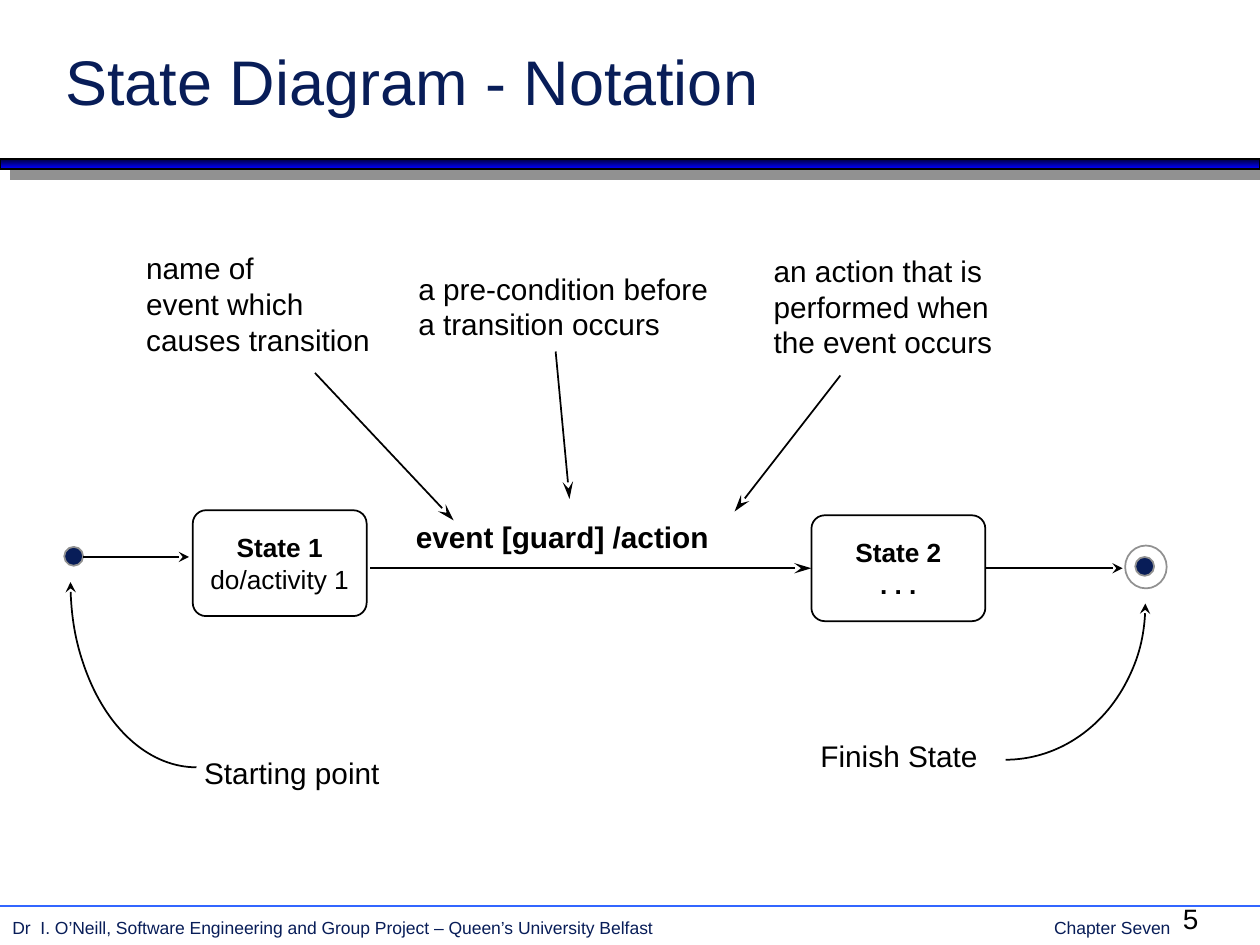
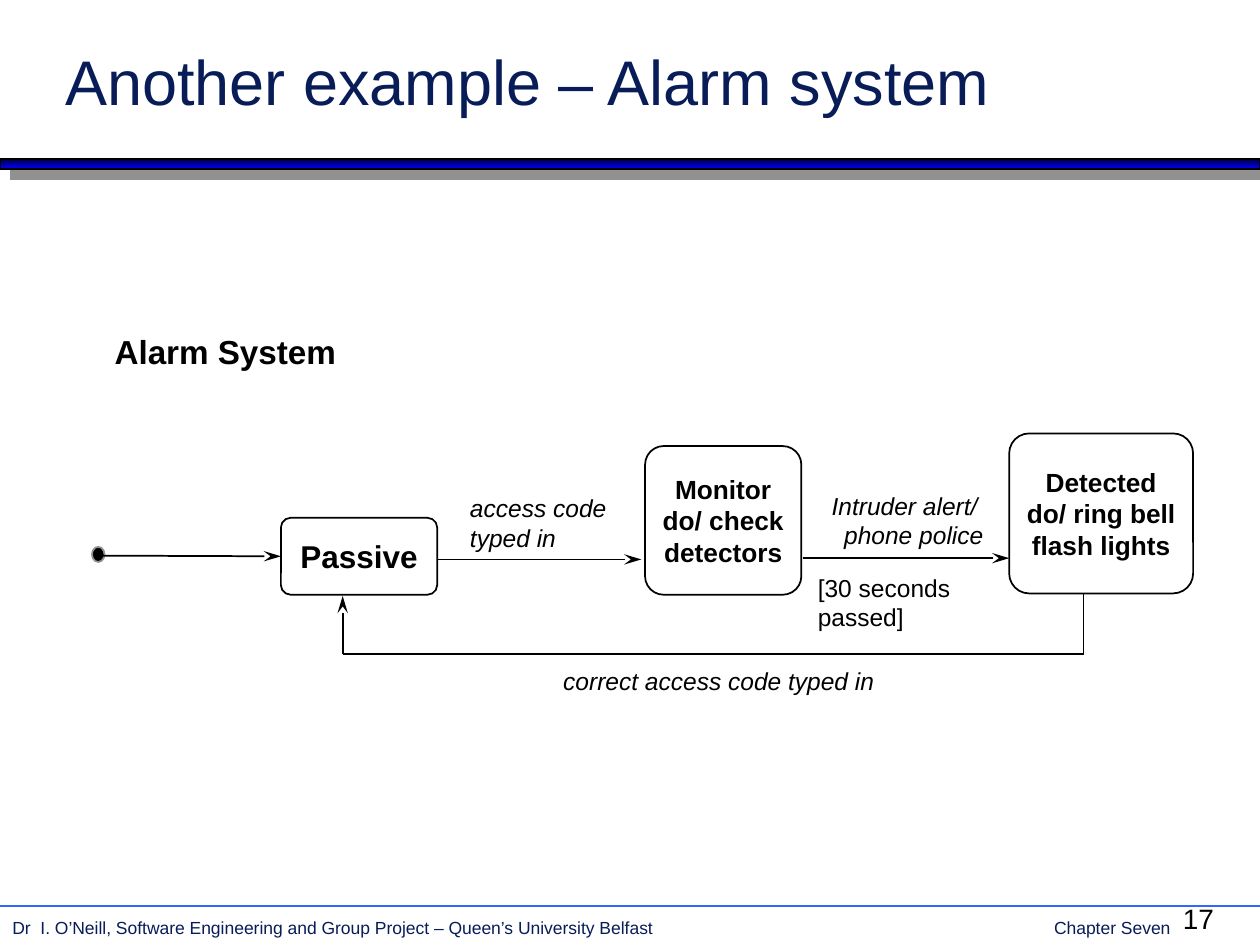
import lxml.etree
import pptx
import pptx.dml.color
import pptx.enum.shapes
import pptx.enum.text
import pptx.oxml.ns
import pptx.util

Inches = pptx.util.Inches
Pt = pptx.util.Pt
RGBColor = pptx.dml.color.RGBColor
SHAPE = pptx.enum.shapes.MSO_SHAPE
ALIGN = pptx.enum.text.PP_ALIGN
ANCHOR = pptx.enum.text.MSO_ANCHOR
qn = pptx.oxml.ns.qn

NAVY = RGBColor(0x08, 0x1D, 0x58)
BLACK = RGBColor(0, 0, 0)
WHITE = RGBColor(0xFF, 0xFF, 0xFF)
GREY = RGBColor(0x91, 0x91, 0x91)
RULE_BLUE = RGBColor(0x33, 0x66, 0xFF)
BAND_DARK = RGBColor(0, 0, 0x36)
BAND_BLUE = RGBColor(0, 0, 0xFF)

FONT = "Arial"
AUTHOR = "Dr  I. O’Neill, Software Engineering and Group Project – Queen’s University Belfast"
CHAPTER = "Chapter Seven"
ROUNDING = 0.125
LEFT, RIGHT = 1, 3  # connection sites of a rectangle


def add_xml(parent, tag, **attrs):
    el = lxml.etree.SubElement(parent, qn(tag))
    for name, value in attrs.items():
        el.set(name, str(value))
    return el


class Deck:
    """Holds the shared style and the slide being drawn."""

    def __init__(self):
        self.prs = pptx.Presentation()
        self.prs.slide_width = Inches(10)
        self.prs.slide_height = Inches(7.5)
        self.s = None

    def new_slide(self, title, number):
        self.s = self.prs.slides.add_slide(self.prs.slide_layouts[6])
        page_style = {"anchor": ANCHOR.TOP, "inset": (0.1, 0.05)}
        tf = self.label([f"{AUTHOR}\t{CHAPTER}"], 0, 7.23, 9.61, 0.26, 10,
                        color=NAVY, **page_style)
        tabs = add_xml(tf.paragraphs[0]._p.get_or_add_pPr(), "a:tabLst")
        add_xml(tabs, "a:tab", pos=Inches(9.19), algn="r")
        self.band()
        self.line((0, 7.19), (10, 7.19), color=RULE_BLUE)
        self.label([str(number)], 9.29, 7.11, 0.5, 0.37, 16, **page_style)
        self.label([title], 0.42, 0.29, 8.54, 0.78, 36, color=NAVY, **page_style)

    def band(self):
        sp = self.shape(SHAPE.RECTANGLE, 0, 1.26, 10, 0.08)
        sp.fill.gradient()
        sp.fill.gradient_angle = 270
        for stop, color in zip(sp.fill.gradient_stops, (BAND_DARK, BAND_BLUE)):
            stop.color.rgb = color
        effects = sp._element.spPr.find(qn("a:effectLst"))
        shadow = add_xml(effects, "a:outerShdw", dist=Pt(8.5), dir=45 * 60000,
                         algn="ctr", rotWithShape=0)
        add_xml(shadow, "a:srgbClr", val=GREY)

    def set_text(self, tf, lines, size, color=BLACK, align=ALIGN.LEFT,
                 anchor=ANCHOR.MIDDLE, inset=(0.07, 0.04), **font):
        """Fill a text frame with one paragraph per line."""
        dx, dy = map(Inches, inset)
        frame = {"word_wrap": True, "vertical_anchor": anchor,
                 "margin_left": dx, "margin_right": dx,
                 "margin_top": dy, "margin_bottom": dy}
        for name, value in frame.items():
            setattr(tf, name, value)
        for i, text in enumerate(lines):
            p = tf.paragraphs[0] if i == 0 else tf.add_paragraph()
            p.alignment = align
            r = p.add_run()
            r.text = text
            for name, value in {"name": FONT, "size": Pt(size), **font}.items():
                setattr(r.font, name, value)
            r.font.color.rgb = color
        return tf

    def label(self, lines, x, y, w, h, size, **style):
        sp = self.s.shapes.add_textbox(Inches(x), Inches(y), Inches(w), Inches(h))
        return self.set_text(sp.text_frame, lines, size, **style)

    def shape(self, kind, x, y, w, h, fill=None, line=BLACK):
        sp = self.s.shapes.add_shape(kind, Inches(x), Inches(y), Inches(w), Inches(h))
        sp.shadow.inherit = False
        if fill is None:
            sp.fill.background()
        else:
            sp.fill.solid()
            sp.fill.fore_color.rgb = fill
        sp.line.color.rgb = line
        sp.line.width = Pt(1)
        return sp

    def state(self, lines, x, y, w, h, size=15):
        sp = self.shape(SHAPE.ROUNDED_RECTANGLE, x, y, w, h, WHITE)
        sp.adjustments[0] = ROUNDING
        self.set_text(sp.text_frame, lines, size, align=ALIGN.CENTER, bold=True)
        return sp

    def dot(self, x, y, w, h, fill=NAVY):
        return self.shape(SHAPE.OVAL, x, y, w, h, fill, GREY)

    def arrowhead(self, sp, end="a:tailEnd", length="lg"):
        add_xml(sp.line._get_or_add_ln(), end, type="stealth", w="med", len=length)

    def line(self, start, end, color=BLACK, begin=None, finish=None):
        """Draw a line; begin and finish are optional (shape, site) joints."""
        cx = self.s.shapes.add_connector(
            pptx.enum.shapes.MSO_CONNECTOR.STRAIGHT, *map(Inches, start + end))
        if begin:
            cx.begin_connect(*begin)
        if finish:
            cx.end_connect(*finish)
        cx.line.color.rgb = color
        cx.line.width = Pt(1)
        add_xml(cx._element.spPr, "a:effectLst")
        return cx

    def arrow(self, start, end, length="lg", **joints):
        self.arrowhead(self.line(start, end, **joints), length=length)

    def quarter_arc(self, cx, cy, rx, ry, from_degrees, end):
        """Draw a clockwise quarter of an ellipse with one arrowhead."""
        sp = self.shape(SHAPE.ARC, cx - rx, cy - ry, 2 * rx, 2 * ry)
        for i, degrees in enumerate((from_degrees, from_degrees + 90)):
            sp.adjustments[i] = degrees * 0.6
        self.arrowhead(sp, end, "med")


def notation_slide(deck):
    deck.new_slide("State Diagram - Notation", 5)

    state_2 = deck.state(["State 2", ". . ."], 6.44, 4.09, 1.38, 0.84)
    deck.arrow((2.94, 4.51), (6.44, 4.51), finish=(state_2, LEFT))
    deck.label(["event [guard] /action"], 3.23, 4.06, 2.79, 0.4, 17, bold=True)

    notes = [
        (["name of", "event which", "causes transition"],
         (1.09, 1.91, 2.1, 1), (2.5, 2.96), (3.6, 4.13)),
        (["a pre-condition before", "a transition occurs"],
         (3.25, 2.08, 2.6, 0.7), (4.41, 2.79), (4.52, 3.96)),
        (["an action that is", "performed when", "the event occurs"],
         (6.07, 1.93, 2.1, 1), (6.67, 2.98), (5.83, 4.06)),
    ]
    for lines, box, start, end in notes:
        deck.label(lines, *box, 17)
        deck.arrow(start, end)

    deck.dot(8.93, 4.33, 0.33, 0.34, WHITE)
    deck.dot(9.01, 4.42, 0.15, 0.15)
    deck.arrow((7.82, 4.51), (8.91, 4.51), "med", begin=(state_2, RIGHT))
    deck.quarter_arc(7.98, 4.79, 1.11, 1.24, 0, "a:headEnd")
    deck.label(["Finish State"], 5.92, 5.8, 1.91, 0.4, 17, align=ALIGN.RIGHT)

    state_1 = deck.state(["State 1", "do/activity 1"], 1.53, 4.05, 1.38, 0.84)
    state_1.text_frame.paragraphs[1].runs[0].font.bold = False
    deck.dot(0.51, 4.34, 0.15, 0.15)
    deck.arrow((0.66, 4.42), (1.5, 4.42), "med")
    deck.quarter_arc(1.56, 4.62, 1, 1.47, 90, "a:tailEnd")
    deck.label(["Starting point"], 1.55, 5.93, 1.7, 0.4, 17)


def alarm_slide(deck):
    deck.new_slide("Another example – Alarm system", 17)
    deck.label(["Alarm System"], 0.84, 2.57, 2, 0.44, 19, bold=True)

    passive = deck.state(["Passive"], 2.23, 4.11, 1.24, 0.61, 18)
    deck.state(["Monitor", "do/ check", "detectors"], 5.12, 3.54, 1.24, 1.18)
    deck.state(["Detected", "do/ ring bell", "flash lights"], 8.01, 3.44, 1.46, 1.27)

    deck.dot(0.73, 4.34, 0.1, 0.12, BLACK)
    deck.arrow((0.81, 4.41), (2.23, 4.41), finish=(passive, LEFT))
    deck.arrow((3.48, 4.44), (5.09, 4.44))
    deck.arrow((6.37, 4.43), (8.01, 4.43))
    deck.line((8.6, 4.71), (8.6, 5.19))
    deck.line((8.6, 5.19), (2.72, 5.19))
    deck.arrow((2.72, 5.19), (2.72, 4.73))

    deck.label(["access code typed in"], 3.66, 3.88, 1.45, 0.54, 14, italic=True)
    deck.label(["correct access code typed in"], 4.4, 5.25, 2.8, 0.3, 14, italic=True)
    tf = deck.label(["Intruder alert/", "phone police"], 6.53, 3.88, 1.45, 0.5, 14,
                    italic=True)
    tf.paragraphs[1]._p.get_or_add_pPr().set("marL", str(Inches(0.1)))
    deck.label(["[30 seconds passed]"], 6.42, 4.53, 1.25, 0.5, 14)


def main():
    deck = Deck()
    notation_slide(deck)
    alarm_slide(deck)
    deck.prs.save("out.pptx")


if __name__ == "__main__":
    main()
